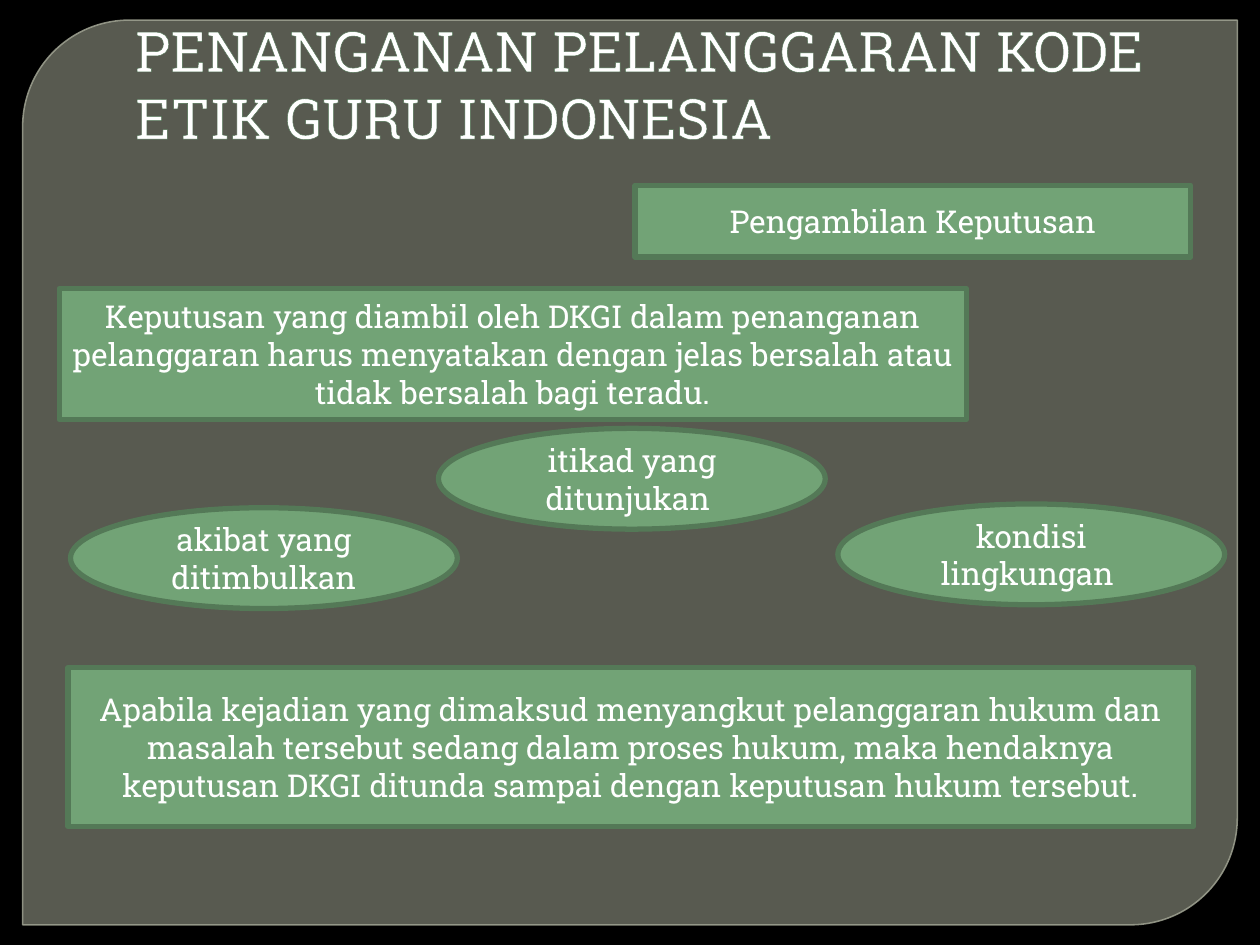
from lxml.etree import SubElement
from pptx import Presentation
from pptx.dml.color import RGBColor
from pptx.enum.shapes import MSO_SHAPE
from pptx.enum.text import MSO_ANCHOR, MSO_AUTO_SIZE, PP_ALIGN
from pptx.oxml import parse_xml
from pptx.oxml.ns import nsdecls, qn
from pptx.util import Inches, Pt

TITLE = "PENANGANAN PELANGGARAN KODE ETIK GURU INDONESIA"
BOXES = [
    ("Pengambilan Keputusan", 5.04, 1.47, 4.41, 0.57),
    ("Keputusan yang diambil oleh DKGI dalam penanganan pelanggaran harus "
     "menyatakan dengan jelas bersalah atau tidak bersalah bagi teradu.",
     0.47, 2.29, 7.2, 1.04),
    ("Apabila kejadian yang dimaksud menyangkut pelanggaran hukum dan "
     "masalah tersebut sedang dalam proses hukum, maka hendaknya keputusan "
     "DKGI ditunda sampai dengan keputusan hukum tersebut.",
     0.54, 5.3, 8.93, 1.26),
]
OVALS = [
    ("akibat yang ditimbulkan", 0.56, 4.03),
    ("itikad yang ditunjukan ", 3.48, 3.4),
    ("kondisi lingkungan ", 6.65, 4),
]
OVAL_SIZE = 3.07, 0.8
FONT = "Roboto Slab"
COLORS = {"back": "000000", "panel": "888B7B", "rim": "9DA090",
          "green": "72A376", "edge": "547957", "text": "FFFFFF",
          "stroke": "4F7152"}


def rgb(name):
    return RGBColor.from_string(COLORS[name])


def fade(fill, percent):
    tint = next(fill.iter(qn("a:srgbClr")))
    SubElement(tint, qn("a:alpha")).set("val", str(percent * 1000))


def write(shape, text, size, align):
    frame = shape.text_frame
    frame.text = text
    frame.word_wrap = True
    frame.auto_size = MSO_AUTO_SIZE.NONE
    frame.vertical_anchor = MSO_ANCHOR.MIDDLE
    para = frame.paragraphs[0]
    para.alignment = align
    font = para.runs[0].font
    font.name, font.size = FONT, Pt(size)
    font.color.rgb = rgb("text")
    return para


def draw(slide, kind, place, fill, line, width):
    shape = slide.shapes.add_shape(kind, *map(Inches, place))
    shape.shadow.inherit = False
    shape.fill.solid()
    shape.fill.fore_color.rgb = rgb(fill)
    shape.line.color.rgb = rgb(line)
    shape.line.width = Pt(width)
    return shape


def add_panel(slide):
    panel = draw(slide, MSO_SHAPE.ROUND_2_DIAG_RECTANGLE,
                 (0.18, 0.16, 9.64, 7.18), "panel", "rim", 0.87)
    panel.adjustments[0] = 0.118
    panel.adjustments[1] = 0
    props = panel.element.spPr
    fade(props.find(qn("a:solidFill")), 65)
    fade(props.find(qn("a:ln")), 88)
    slide.shapes.title.element.addprevious(panel.element)


def add_title(slide):
    title = slide.shapes.title
    title.left, title.top, title.width, title.height = map(
        Inches, (0.44, 0.07, 9.01, 1.18))
    para = write(title, TITLE, 32, PP_ALIGN.LEFT)
    props = para._p.get_or_add_pPr()
    props.set("marL", str(Inches(0.53)))
    props.set("indent", "0")
    para.runs[0]._r.get_or_add_rPr().insert(0, parse_xml(
        f'<a:ln {nsdecls("a")} w="{Pt(0.5)}"><a:solidFill>'
        f'<a:srgbClr val="{COLORS["stroke"]}"/></a:solidFill></a:ln>'))


def main():
    deck = Presentation()
    deck.slide_width, deck.slide_height = Inches(10), Inches(7.5)
    slide = deck.slides.add_slide(deck.slide_layouts[5])
    slide.background.fill.solid()
    slide.background.fill.fore_color.rgb = rgb("back")
    add_panel(slide)
    add_title(slide)
    items = [(MSO_SHAPE.RECTANGLE, text, place) for text, *place in BOXES]
    items += [(MSO_SHAPE.OVAL, text, (*spot, *OVAL_SIZE))
              for text, *spot in OVALS]
    for kind, text, place in items:
        shape = draw(slide, kind, place, "green", "edge", 3)
        write(shape, text, 18, PP_ALIGN.CENTER)
    deck.save("out.pptx")


if __name__ == "__main__":
    main()
